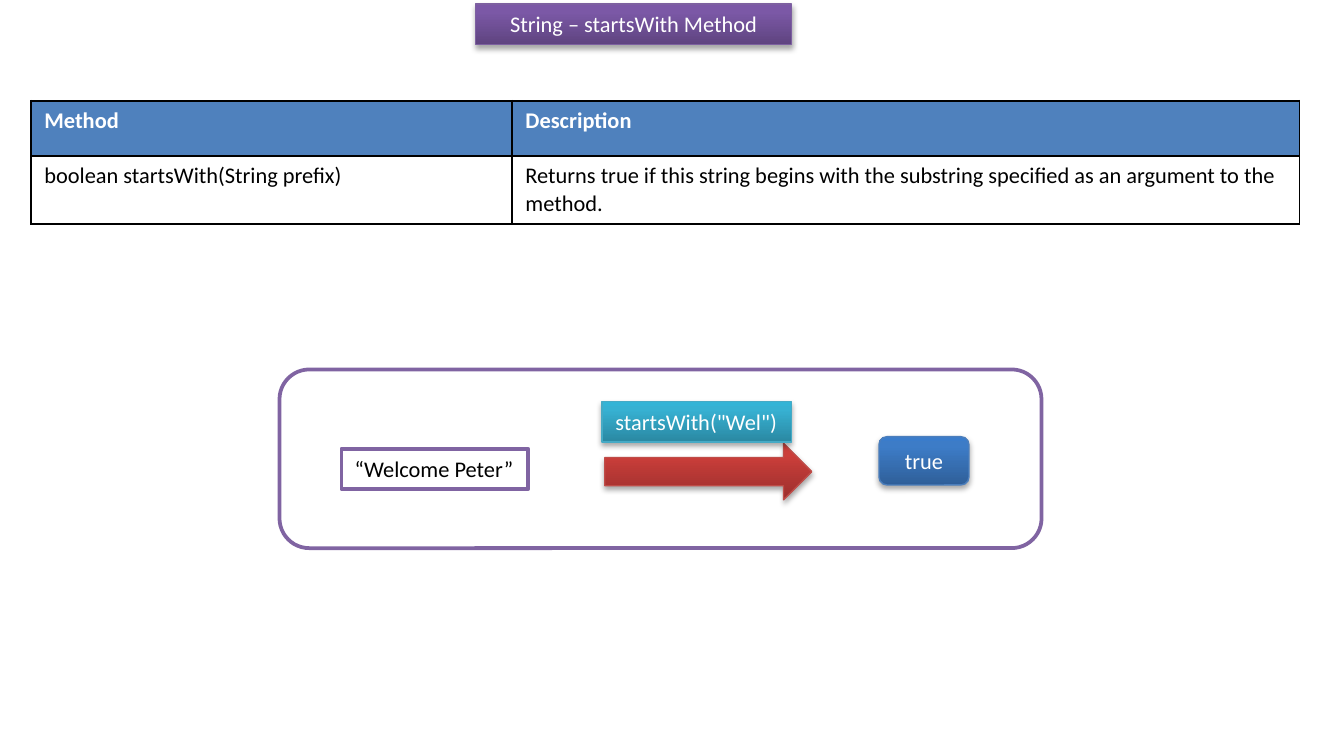
import copy

import lxml.etree
import pptx
import pptx.dml.color
import pptx.enum.dml
import pptx.enum.shapes
import pptx.enum.text
import pptx.oxml
import pptx.oxml.ns
import pptx.util

WIDTH, HEIGHT = 10, 5.5
COLUMNS, ROWS = 100, 55
FONT, TEXT_SIZE = "Calibri", 12
COLORS = {
    "white": "FFFFFF", "black": "000000", "outline": "8064A2", "header": "4F81BD",
    "purple edge": "7D60A0", "blue edge": "4B7EBC", "red edge": "BF4C48", "teal edge": "46AAC5",
}
# Gradients run from the bottom edge to the top edge.
STOPS = (0, 0.8, 1)
GRADIENTS = {
    "purple": ("5F4480", "7B58A6", "7C57A8"),
    "blue": ("2F5F99", "3D7CC7", "3A7CCB"),
    "red": ("9C2F2D", "CB3E3A", "CE3B37"),
    "teal": ("2A88A2", "37B1D2", "34B4D6"),
}
SHAPE = pptx.enum.shapes.MSO_SHAPE
ALIGN = pptx.enum.text.PP_ALIGN
ANCHOR = pptx.enum.text.MSO_ANCHOR
A = pptx.oxml.ns.nsdecls("a")
qn = pptx.oxml.ns.qn


def rgb(value):
    return pptx.dml.color.RGBColor.from_string(value)


def cols(n):
    return pptx.util.Inches(n * WIDTH / COLUMNS)


def rows(n):
    return pptx.util.Inches(n * HEIGHT / ROWS)


def add_run(tf, text, color, align=ALIGN.LEFT, bold=False):
    p = tf.paragraphs[0]
    p.alignment = align
    r = p.add_run()
    r.text = text
    r.font.name, r.font.size, r.font.bold = FONT, pptx.util.Pt(TEXT_SIZE), bold
    r.font.color.rgb = rgb(COLORS[color])


def add_box(slide, kind, x, y, w, h, line, line_width):
    """Add a white shape placed in grid columns and rows."""
    sp = slide.shapes.add_shape(kind, cols(x), rows(y), cols(w), rows(h))
    sp.shadow.inherit = False
    sp.fill.solid()
    sp.fill.fore_color.rgb = rgb(COLORS["white"])
    sp.line.color.rgb = rgb(COLORS[line])
    sp.line.width = pptx.util.Pt(line_width)
    return sp


def add_glossy_box(slide, kind, x, y, w, h, hue):
    """Add a shape with a three-stop gradient and a soft shadow below."""
    sp = add_box(slide, kind, x, y, w, h, f"{hue} edge", 0.75)
    sp.fill.gradient()
    sp.fill.gradient_angle = 90
    stop_list = sp._element.spPr.find(".//" + qn("a:gsLst"))
    stop_list.append(copy.deepcopy(stop_list[-1]))
    for stop, position, color in zip(sp.fill.gradient_stops, STOPS, GRADIENTS[hue]):
        stop.position = position
        stop.color.rgb = rgb(color)
    sp._element.spPr.find(qn("a:effectLst")).append(pptx.oxml.parse_xml(
        f'<a:outerShdw {A} blurRad="{pptx.util.Pt(3.1)}" dist="{pptx.util.Pt(1.8)}" '
        f'dir="5400000" rotWithShape="0"><a:srgbClr val="{COLORS["black"]}">'
        '<a:alpha val="35000"/></a:srgbClr></a:outerShdw>'))
    return sp


def add_label(sp, text, color, align=ALIGN.LEFT, anchor=ANCHOR.TOP, wrap=True):
    tf = sp.text_frame
    tf.word_wrap = wrap
    tf.vertical_anchor = anchor
    add_run(tf, text, color, align)


def add_borders(cell):
    tc_pr = cell._tc.get_or_add_tcPr()
    for i, side in enumerate(("lnL", "lnR", "lnT", "lnB")):
        tc_pr.insert(i, pptx.oxml.parse_xml(
            f'<a:{side} {A} w="{pptx.util.Pt(1)}"><a:solidFill>'
            f'<a:srgbClr val="{COLORS["black"]}"/></a:solidFill></a:{side}>'))


def add_method_table(slide, x, y, widths, row_height, content):
    table = slide.shapes.add_table(
        len(content), len(widths), cols(x), rows(y),
        cols(sum(widths)), rows(row_height * len(content))).table
    for column, width in zip(table.columns, widths):
        column.width = cols(width)
    for i, texts in enumerate(content):
        header = i == 0
        for j, text in enumerate(texts):
            cell = table.cell(i, j)
            cell.fill.solid()
            cell.fill.fore_color.rgb = rgb(COLORS["header" if header else "white"])
            add_borders(cell)
            add_run(cell.text_frame, text, "white" if header else "black", bold=header)


def main():
    prs = pptx.Presentation()
    prs.slide_width, prs.slide_height = cols(COLUMNS), rows(ROWS)
    s = prs.slides.add_slide(prs.slide_layouts[6])

    add_box(s, SHAPE.ROUNDED_RECTANGLE, 20.8, 27.5, 56.7, 13.3, "outline", 2)
    title = add_glossy_box(s, SHAPE.RECTANGLE, 35.4, 0.3, 23.5, 3, "purple")
    add_label(title, "String – startsWith Method", "white", ALIGN.CENTER)

    source = add_box(s, SHAPE.RECTANGLE, 25.4, 33.4, 13.9, 3, "outline", 2)
    add_label(source, "“Welcome Peter”", "black", wrap=False)
    result = add_glossy_box(s, SHAPE.ROUNDED_RECTANGLE, 65.4, 32.5, 6.7, 3.6, "blue")
    add_label(result, "true", "white", ALIGN.CENTER, ANCHOR.MIDDLE)
    add_glossy_box(s, SHAPE.RIGHT_ARROW, 45, 33, 15.4, 4.2, "red")

    add_method_table(s, 2.3, 7.5, (35.8, 58.6), 4.1, (
        ("Method", "Description"),
        ("boolean startsWith(String prefix)",
         "Returns true if this string begins with the substring specified "
         "as an argument to the method."),
    ))
    call = add_glossy_box(s, SHAPE.RECTANGLE, 44.8, 29.9, 14.1, 3, "teal")
    add_label(call, 'startsWith("Wel")', "white", wrap=False)

    prs.save("out.pptx")


if __name__ == "__main__":
    main()
